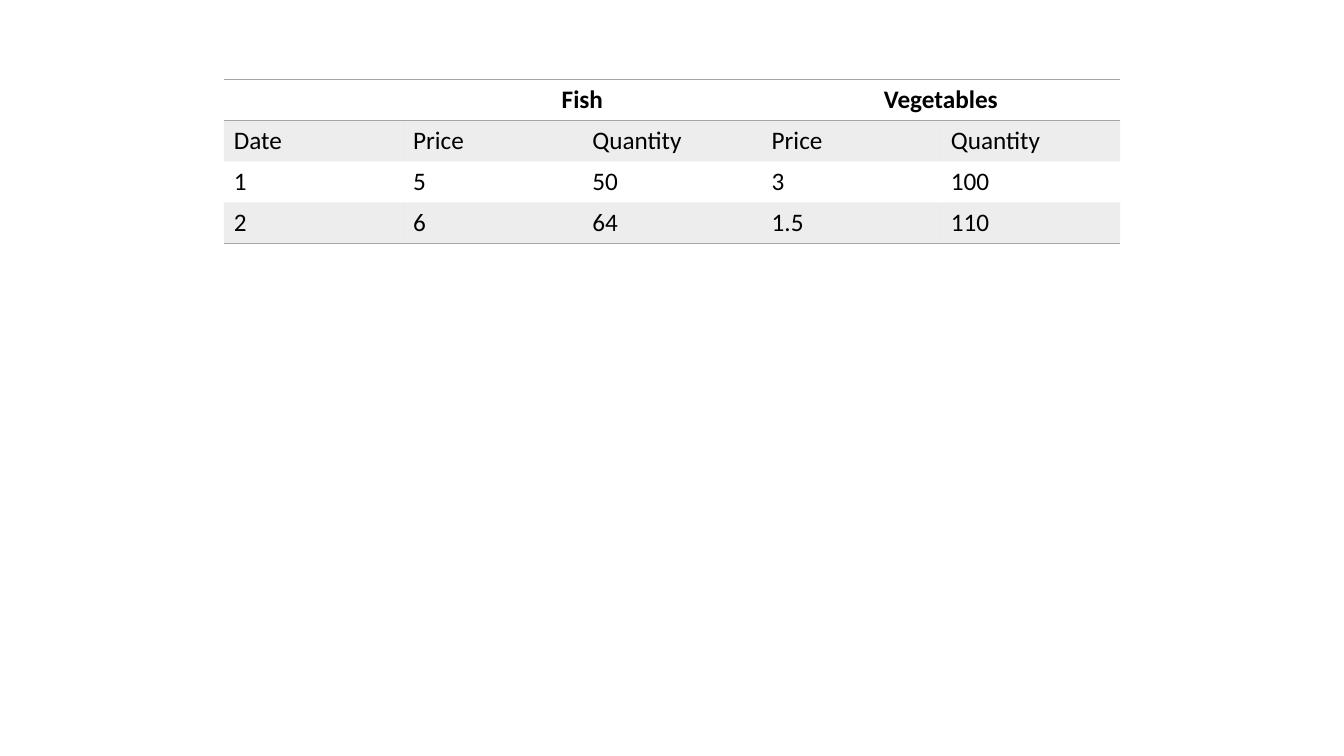
from lxml import etree
from pptx import Presentation
from pptx.dml.color import RGBColor
from pptx.enum.text import PP_ALIGN
from pptx.oxml.ns import qn
from pptx.util import Inches, Pt

LEFT, CENTER = PP_ALIGN.LEFT, PP_ALIGN.CENTER
BLACK = RGBColor(0x00, 0x00, 0x00)
GRAY = RGBColor(0xA5, 0xA5, 0xA5)
BAND_OPACITY = 20
NO_STYLE_NO_GRID = "{2D5ABB26-0587-4C30-8999-92F81FD0307C}"

GROUPS = ["Fish", "Vegetables"]
ROWS = [
    ["Date", "Price", "Quantity", "Price", "Quantity"],
    ["1", "5", "50", "3", "100"],
    ["2", "6", "64", "1.5", "110"],
]
GROUP_SPAN = 2
TABLE_LEFT, TABLE_TOP = 2.22, 0.79
TABLE_WIDTH, ROW_HEIGHT = 8.89, 0.405


def write(cell, text, bold=False, align=LEFT):
    paragraph = cell.text_frame.paragraphs[0]
    paragraph.alignment = align
    run = paragraph.add_run()
    run.text = text
    run.font.name = "Calibri"
    run.font.size = Pt(18)
    run.font.bold = bold
    run.font.color.rgb = BLACK


def add_rule(cell, side):
    """Draw a 1 pt gray border; side is "T" or "B", added in that order."""
    properties = cell._tc.get_or_add_tcPr()
    line = etree.SubElement(properties, qn(f"a:ln{side}"), w=str(Pt(1)))
    fill = etree.SubElement(line, qn("a:solidFill"))
    etree.SubElement(fill, qn("a:srgbClr"), val=str(GRAY))


def shade(cell):
    cell.fill.solid()
    cell.fill.fore_color.rgb = GRAY
    color = cell._tc.tcPr.find(f".//{qn('a:solidFill')}[last()]") 
    color = cell._tc.tcPr.find(qn("a:solidFill")).find(qn("a:srgbClr"))
    etree.SubElement(color, qn("a:alpha"), val=str(BAND_OPACITY * 1000))


def add_price_table(slide):
    row_count, column_count = len(ROWS) + 1, len(ROWS[0])
    table = slide.shapes.add_table(
        row_count, column_count, Inches(TABLE_LEFT), Inches(TABLE_TOP),
        Inches(TABLE_WIDTH), Inches(ROW_HEIGHT * row_count)).table
    table._tbl.tblPr.find(qn("a:tableStyleId")).text = NO_STYLE_NO_GRID
    table.horz_banding = False

    for index, group in enumerate(GROUPS):
        first = 1 + index * GROUP_SPAN
        heading = table.cell(0, first)
        heading.merge(table.cell(0, first + GROUP_SPAN - 1))
        write(heading, group, bold=True, align=CENTER)
    for row, values in enumerate(ROWS, start=1):
        for column, value in enumerate(values):
            write(table.cell(row, column), value)

    for row in range(row_count):
        for column in range(column_count):
            cell = table.cell(row, column)
            if row == 0:
                add_rule(cell, "T")
            if row in (0, row_count - 1):
                add_rule(cell, "B")
            if row % 2:
                shade(cell)
            else:
                cell.fill.background()


def main():
    presentation = Presentation()
    presentation.slide_width = Inches(13.33)
    presentation.slide_height = Inches(7.5)
    blank_layout = presentation.slide_layouts[6]
    add_price_table(presentation.slides.add_slide(blank_layout))
    presentation.save("out.pptx")


if __name__ == "__main__":
    main()
